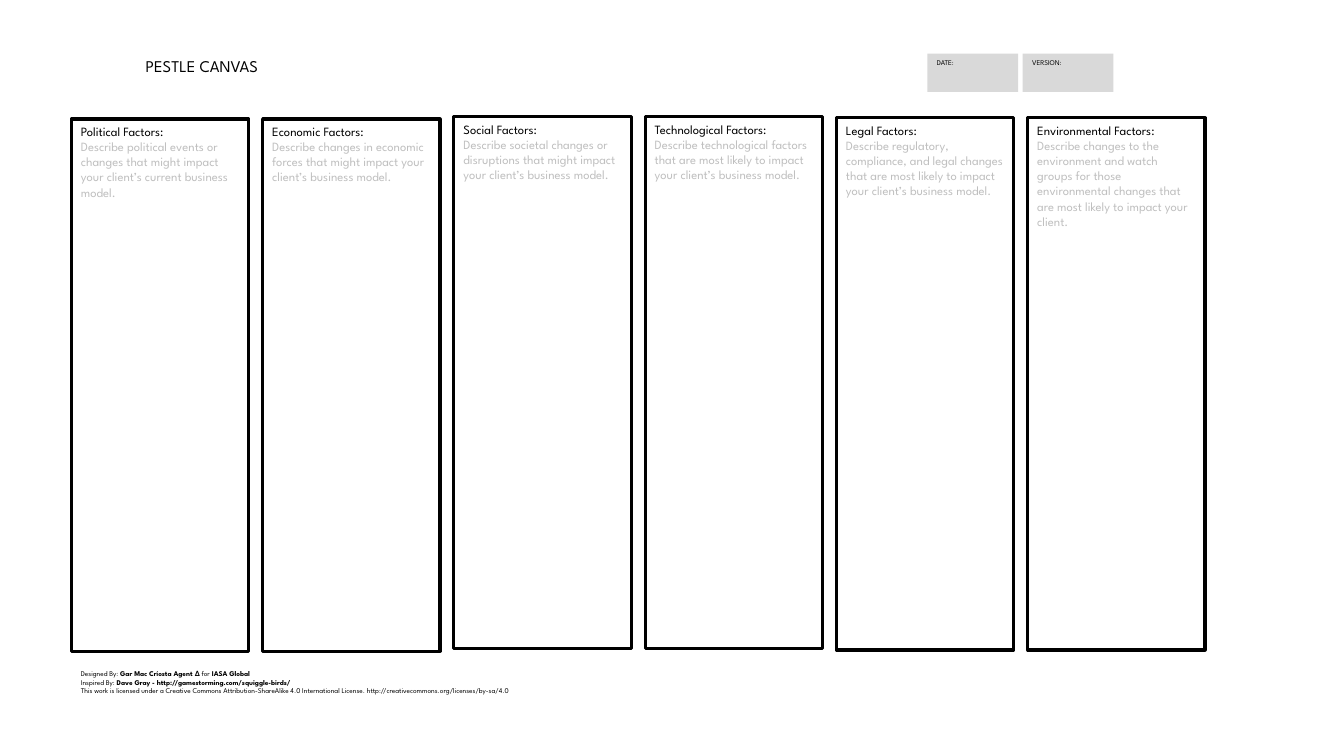
from dataclasses import dataclass

from pptx import Presentation
from pptx.dml.color import RGBColor
from pptx.enum.shapes import MSO_SHAPE
from pptx.enum.text import MSO_ANCHOR, MSO_AUTO_SIZE, PP_ALIGN
from pptx.util import Cm, Pt

RECT = MSO_SHAPE.RECTANGLE
TOP = MSO_ANCHOR.TOP
NO_FIT = MSO_AUTO_SIZE.NONE
LEFT = PP_ALIGN.LEFT


@dataclass(frozen=True)
class Theme:
    font: str = "League Spartan"
    ink: str = "000000"
    hint: str = "BFBFBF"
    tag: str = "D9D9D9"
    title: float = 11.7
    body: float = 9
    small: float = 5.2
    line: float = 2.25


class Canvas:
    def __init__(self, slide, theme):
        self.slide = slide
        self.theme = theme

    def label(self, shape, lines, size):
        """Each line is a list of (text, bold) runs and a colour."""
        frame = shape.text_frame
        frame.word_wrap = True
        frame.auto_size = NO_FIT
        frame.vertical_anchor = TOP
        frame.margin_left = frame.margin_right = Cm(0.24)
        frame.margin_top = frame.margin_bottom = Cm(0.12)
        for i, (runs, color) in enumerate(lines):
            para = frame.add_paragraph() if i else frame.paragraphs[0]
            para.alignment = LEFT
            para.space_before = Pt(0)
            para.font.name = self.theme.font
            para.font.size = Pt(size)
            para.font.color.rgb = RGBColor.from_string(color)
            for text, bold in runs:
                run = para.add_run()
                run.text = text
                if bold:
                    run.font.bold = True

    def title(self, text, *box):
        shape = self.slide.shapes.title
        shape.left, shape.top, shape.width, shape.height = map(Cm, box)
        self.label(shape, [([(text, False)], self.theme.ink)], self.theme.title)

    def rect(self, *box):
        shape = self.slide.shapes.add_shape(RECT, *map(Cm, box))
        shape.shadow.inherit = False
        return shape

    def tag(self, text, *box):
        shape = self.rect(*box)
        shape.fill.solid()
        shape.fill.fore_color.rgb = RGBColor.from_string(self.theme.tag)
        shape.line.fill.background()
        self.label(shape, [([(text, False)], self.theme.ink)], self.theme.small)

    def column(self, head, hint, *box):
        shape = self.rect(*box)
        shape.fill.background()
        shape.line.color.rgb = RGBColor.from_string(self.theme.ink)
        shape.line.width = Pt(self.theme.line)
        lines = [([(head, False)], self.theme.ink),
                 ([(hint, False)], self.theme.hint)]
        self.label(shape, lines, self.theme.body)

    def note(self, lines, *box):
        shape = self.slide.shapes.add_textbox(*map(Cm, box))
        self.label(shape, [(runs, self.theme.ink) for runs in lines],
                   self.theme.small)


# Heading, prompt and top edge of each column
FACTORS = [
    ("Political Factors:", "Describe political events or changes that might "
     "impact your client’s current business model.", 3),
    ("Economic Factors:", "Describe changes in economic forces that might "
     "impact your client’s business model.", 3),
    ("Social Factors:", "Describe societal changes or disruptions that might "
     "impact your client’s business model.", 2.94),
    ("Technological Factors:", "Describe technological factors that are most "
     "likely to impact your client’s business model.", 2.94),
    ("Legal Factors:", "Describe regulatory, compliance, and legal changes "
     "that are most likely to impact your client’s business model.", 2.97),
    ("Environmental Factors:", "Describe changes to the environment and watch "
     "groups for those environmental changes that are most likely to impact "
     "your client.", 2.97),
]

CREDITS = [
    [("Designed By: ", False), ("Gar Mac Críosta Agent ∆", True),
     (" for ", False), ("IASA Global", True)],
    [("Inspired By: ", False),
     ("Dave Gray - http://gamestorming.com/squiggle-birds/", True)],
    [("This work is licensed under a Creative Commons Attribution-ShareAlike "
      "4.0 International License. "
      "http://creativecommons.org/licenses/by-sa/4.0", False)],
]


def main():
    deck = Presentation()
    deck.slide_width, deck.slide_height = Cm(33.87), Cm(19.05)
    slide = deck.slides.add_slide(deck.slide_layouts[5])
    canvas = Canvas(slide, Theme())

    # Header
    canvas.title("PESTLE CANVAS", 3.43, 1.3, 3.66, 0.76)
    for i, text in enumerate(["DATE:", "VERSION:"]):
        canvas.tag(text, 23.37 + i * 2.4, 1.35, 2.29, 0.97)

    # Six factor columns
    for i, (head, hint, top) in enumerate(FACTORS):
        canvas.column(head, hint, 1.8 + i * 4.82, top, 4.47, 13.41)

    # Credits
    canvas.note(CREDITS, 1.8, 16.74, 21.39, 0.99)

    deck.save("out.pptx")


if __name__ == "__main__":
    main()
